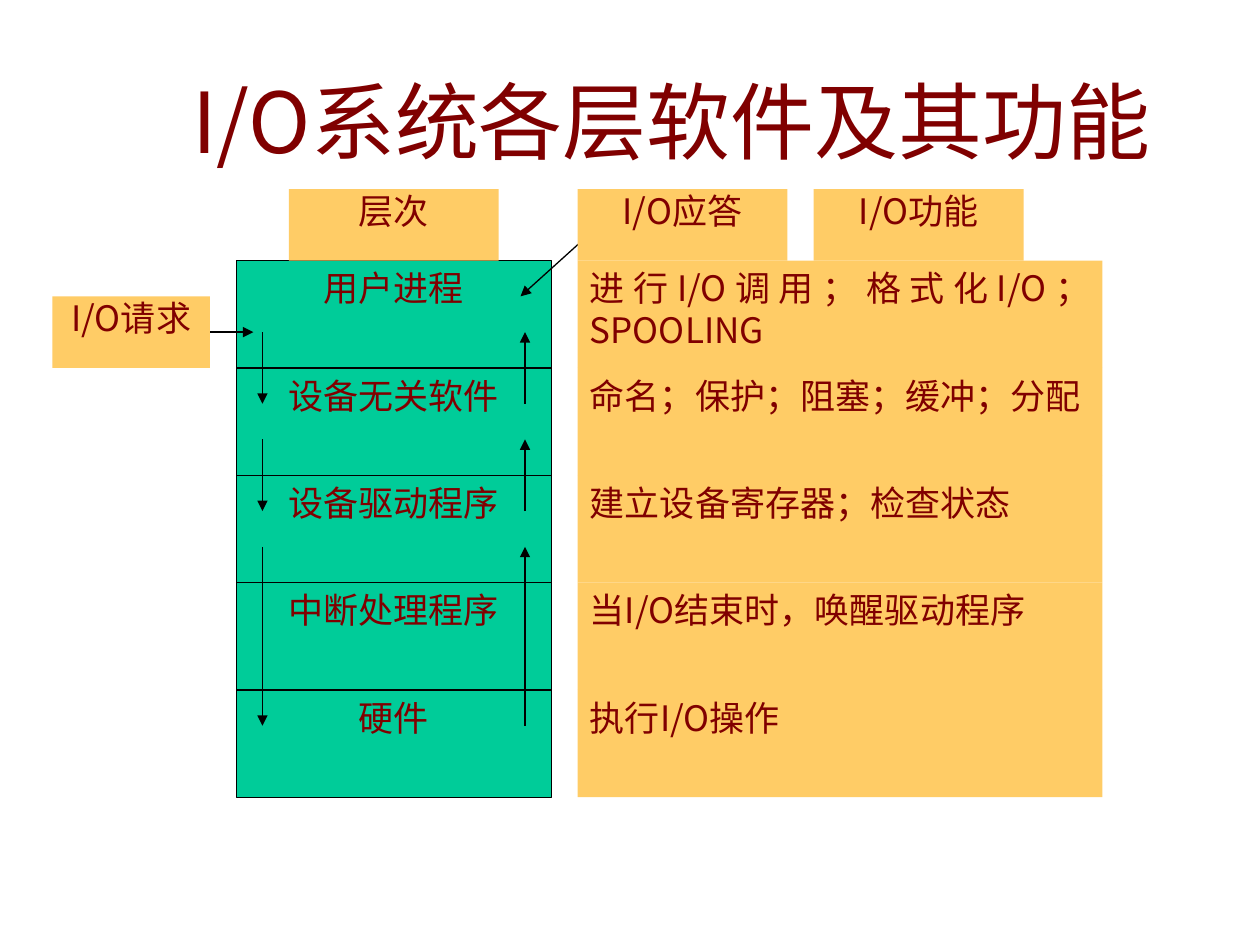
from lxml import etree
from pptx import Presentation
from pptx import util as u
from pptx.dml.color import RGBColor
from pptx.enum import shapes, text
from pptx.oxml.ns import qn

FONT = "Noto Sans CJK JP"
MAROON, GREEN, AMBER, BLACK = "800000", "00CC99", "FFCC66", "000000"
COL, ROW = 5 / 24, 0.284
TOP = 1.5
LAYER_ROWS = 3

LAYERS = [
    ("用户进程", "进行I/O调用；格式化I/O；SPOOLING"),
    ("设备无关软件", "命名；保护；阻塞；缓冲；分配"),
    ("设备驱动程序", "建立设备寄存器；检查状态"),
    ("中断处理程序", "当I/O结束时，唤醒驱动程序"),
    ("硬件", "执行I/O操作"),
]
# left column, top row, width in columns
LABELS = [
    ("层次", 11, 0, 8),
    ("I/O应答", 22, 0, 8),
    ("I/O功能", 31, 0, 8),
    ("I/O请求", 2, 3, 6),
]
FLOW_ROWS = [(4, 6), (7, 9), (10, 15)]


def rgb(value):
    return RGBColor.from_string(value)


def grid(col, row):
    return u.Inches(col * COL), u.Inches(TOP + row * ROW)


def write(tf, words, size, align, anchor, margins=(0.1, 0.05)):
    tf.word_wrap = True
    tf.vertical_anchor = anchor
    tf.margin_left = tf.margin_right = u.Inches(margins[0])
    tf.margin_top = tf.margin_bottom = u.Inches(margins[1])
    tf.text = words
    p = tf.paragraphs[0]
    p.alignment = align
    for r in p.runs:
        r.font.name = FONT
        r.font.size = u.Pt(size)
        r.font.color.rgb = rgb(MAROON)
        ea = etree.SubElement(r.font._element, qn("a:ea"))
        ea.set("typeface", FONT)


def add_box(s, words, col, row, cols, rows, fill, align=text.PP_ALIGN.CENTER,
            outlined=False, margins=(0.1, 0.05)):
    x, y = grid(col, row)
    sp = s.shapes.add_shape(shapes.MSO_SHAPE.RECTANGLE, x, y,
                            u.Inches(cols * COL), u.Inches(rows * ROW))
    sp.shadow.inherit = False
    sp.fill.solid()
    sp.fill.fore_color.rgb = rgb(fill)
    if outlined:
        sp.line.color.rgb = rgb(BLACK)
        sp.line.width = u.Pt(0.75)
    else:
        sp.line.fill.background()
    write(sp.text_frame, words, 20, align, text.MSO_ANCHOR.TOP, margins)


def add_arrow(s, start, end):
    """Draw an arrow between two (column, row) points, head at the end."""
    line = s.shapes.add_connector(shapes.MSO_CONNECTOR.STRAIGHT,
                                  *grid(*start), *grid(*end))
    line.line.color.rgb = rgb(BLACK)
    line.line.width = u.Pt(0.75)
    ln = line.line._get_or_add_ln()
    etree.SubElement(ln, qn("a:tailEnd")).set("type", "triangle")
    etree.SubElement(line._element.spPr, qn("a:effectLst"))


def add_title(s, words, left, top, width, height):
    sp = s.shapes.add_textbox(*map(u.Inches, (left, top, width, height)))
    write(sp.text_frame, words, 48, text.PP_ALIGN.CENTER, text.MSO_ANCHOR.MIDDLE)


def add_layers(s, col, row):
    for i, (name, duty) in enumerate(LAYERS):
        y = row + i * LAYER_ROWS
        add_box(s, name, col, y, 12, LAYER_ROWS, GREEN, outlined=True)
        add_box(s, duty, col + 13, y, 20, LAYER_ROWS, AMBER, text.PP_ALIGN.JUSTIFY)


def add_flows(s, down_col, up_col):
    for upper, lower in FLOW_ROWS:
        add_arrow(s, (down_col, upper), (down_col, lower))
        add_arrow(s, (up_col, lower), (up_col, upper))
    add_arrow(s, (down_col - 2.3, 4), (down_col - 0.35, 4))
    add_arrow(s, (up_col + 2.85, 1), (up_col - 0.17, 3))


def add_labels(s):
    for words, col, row, cols in LABELS:
        add_box(s, words, col, row, cols, 2, AMBER, margins=(0, 0))


def main():
    prs = Presentation()
    prs.slide_width, prs.slide_height = u.Inches(10), u.Inches(7.5)
    s = prs.slides.add_slide(prs.slide_layouts[6])
    add_title(s, "I/O系统各层软件及其功能", 1.08, 0.33, 8.5, 1.25)
    add_layers(s, 9, 2)
    add_flows(s, 10, 20)
    add_labels(s)
    prs.save("out.pptx")


if __name__ == "__main__":
    main()
